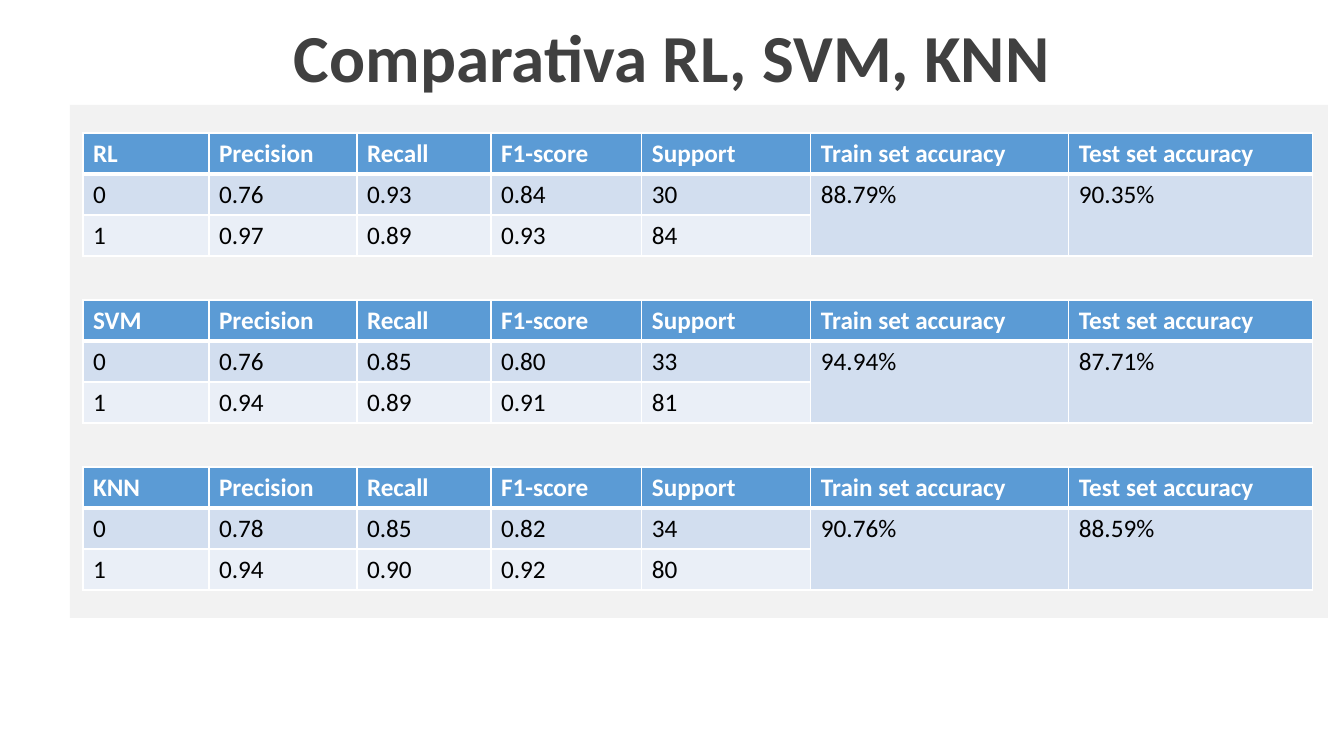
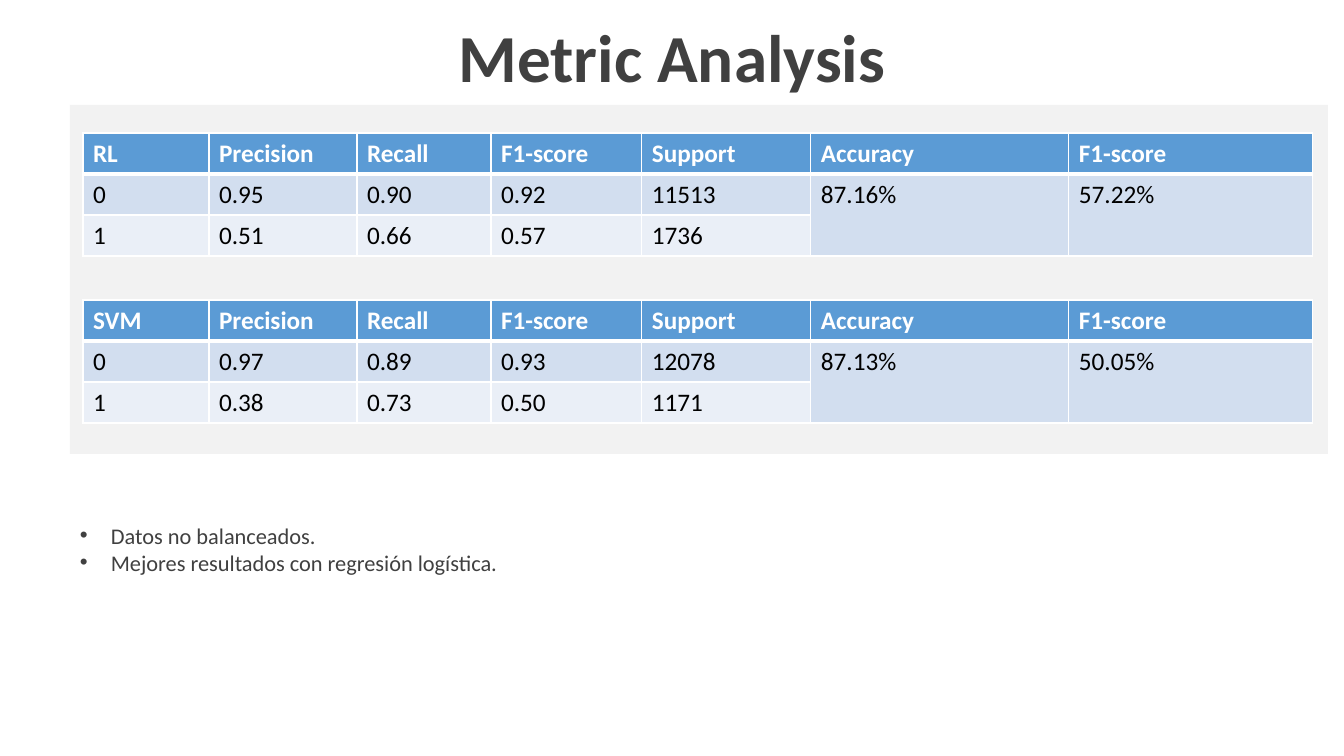
from dataclasses import dataclass

from lxml.etree import SubElement as Sub
from pptx import Presentation as Deck
from pptx.dml.color import RGBColor as Rgb
from pptx.enum.shapes import MSO_SHAPE as Shape
from pptx.enum.text import MSO_ANCHOR as Anchor, PP_ALIGN as Align
from pptx.oxml.ns import qn
from pptx.util import Pt

SCALE = 9071


@dataclass(frozen=True)
class Theme:
    face: str = "Calibri"
    ink: str = "404040"
    black: str = "000000"
    white: str = "FFFFFF"
    panel: str = "F2F2F2"
    head: str = "5B9BD5"
    dark: str = "D2DEEF"
    light: str = "EAEFF7"
    title: int = 48
    grid: int = 18
    note: int = 16
    thin: int = 1
    thick: int = 3


T = Theme()
WIDE, HIGH = 1344, 756
TITLE = (0, 4, WIDE, 114)
NOTES = (70, 517, 731, 92)
COLS = (126, 148, 134, 151, 169, 258, 244)
ROW = 41
STEP = 167
INSET = (13, 28)
INDENT = 31
SCORES = ["Precision", "Recall", "F1-score", "Support"]


def px(*nums):
    return [num * SCALE for num in nums]


def assign(item, form):
    for name, value in form.items():
        setattr(item, name, value)


def paint(item, tone):
    item.fill.solid()
    item.fill.fore_color.rgb = Rgb.from_string(tone)


def write(para, text, size, tone, bold=False, **form):
    run = para.add_run()
    run.text = text
    assign(run.font, {"name": T.face, "size": Pt(size), "bold": bold})
    run.font.color.rgb = Rgb.from_string(tone)
    assign(para, form)


def add_text(slide, box):
    frame = slide.shapes.add_textbox(*px(*box)).text_frame
    frame.word_wrap = True
    return frame


def add_title(slide, box, text):
    frame = add_text(slide, box)
    frame.vertical_anchor = Anchor.MIDDLE
    write(frame.paragraphs[0], text, T.title, T.ink, True,
          alignment=Align.CENTER, line_spacing=0.9)


def add_notes(slide, box, lines):
    frame = add_text(slide, box)
    inset, = px(INDENT)
    for spot, line in enumerate(lines):
        para = frame.add_paragraph() if spot else frame.paragraphs[0]
        write(para, line, T.note, T.ink)
        props = para._p.get_or_add_pPr()
        for key, value in {"marL": inset, "indent": -inset}.items():
            props.set(key, str(value))
        Sub(props, qn("a:buFont"), typeface="Arial")
        Sub(props, qn("a:buChar"), char="•")


def edge(cell, row):
    props = cell._tc.get_or_add_tcPr()
    heavy = {0: "B", 1: "T"}.get(row)
    for side in "LRTB":
        width = T.thick if side == heavy else T.thin
        line = Sub(props, qn(f"a:ln{side}"), w=str(Pt(width)))
        Sub(Sub(line, qn("a:solidFill")), qn("a:srgbClr"), val=T.white)


def add_grid(slide, left, top, rows):
    box = px(left, top, sum(COLS), ROW * len(rows))
    grid = slide.shapes.add_table(len(rows), len(COLS), *box).table
    for col, width in zip(grid.columns, px(*COLS)):
        col.width = width
    fills = (T.head, T.dark, T.light)
    for r, (row, tone) in enumerate(zip(rows, fills)):
        grid.rows[r].height = px(ROW)[0]
        for c in range(len(COLS)):
            cell = grid.cell(r, c)
            edge(cell, r)
            paint(cell, tone)
            if c < len(row):
                write(cell.text_frame.paragraphs[0], row[c], T.grid,
                      T.black if r else T.white, r == 0)
    for c in range(len(rows[2]), len(COLS)):
        grid.cell(1, c).merge(grid.cell(2, c))


def add_panel(slide, box, heads, models):
    panel = slide.shapes.add_shape(Shape.RECTANGLE, *px(*box))
    panel.shadow.inherit = False
    paint(panel, T.panel)
    panel.line.fill.background()
    left, top = box[0] + INSET[0], box[1] + INSET[1]
    for spot, (name, zero, one) in enumerate(models):
        rows = [[name, *SCORES, *heads],
                ["0", *zero.split()], ["1", *one.split()]]
        add_grid(slide, left, top + spot * STEP, rows)


def add_slide(deck, title, height, heads, models, notes=()):
    slide = deck.slides.add_slide(deck.slide_layouts[6])
    add_title(slide, TITLE, title)
    add_panel(slide, (70, 105, 1258, height), heads, models)
    if notes:
        add_notes(slide, NOTES, notes)


def main():
    deck = Deck()
    wide, high = px(WIDE, HIGH)
    assign(deck, {"slide_width": wide, "slide_height": high})
    add_slide(
        deck, "Comparativa RL, SVM, KNN", 513,
        ["Train set accuracy", "Test set accuracy"],
        [("RL", "0.76 0.93 0.84 30 88.79% 90.35%", "0.97 0.89 0.93 84"),
         ("SVM", "0.76 0.85 0.80 33 94.94% 87.71%", "0.94 0.89 0.91 81"),
         ("KNN", "0.78 0.85 0.82 34 90.76% 88.59%", "0.94 0.90 0.92 80")])
    add_slide(
        deck, "Metric Analysis", 349, ["Accuracy", "F1-score"],
        [("RL", "0.95 0.90 0.92 11513 87.16% 57.22%", "0.51 0.66 0.57 1736"),
         ("SVM", "0.97 0.89 0.93 12078 87.13% 50.05%", "0.38 0.73 0.50 1171")],
        ["Datos no balanceados.",
         "Mejores resultados con regresión logística."])
    deck.save("out.pptx")


if __name__ == "__main__":
    main()
